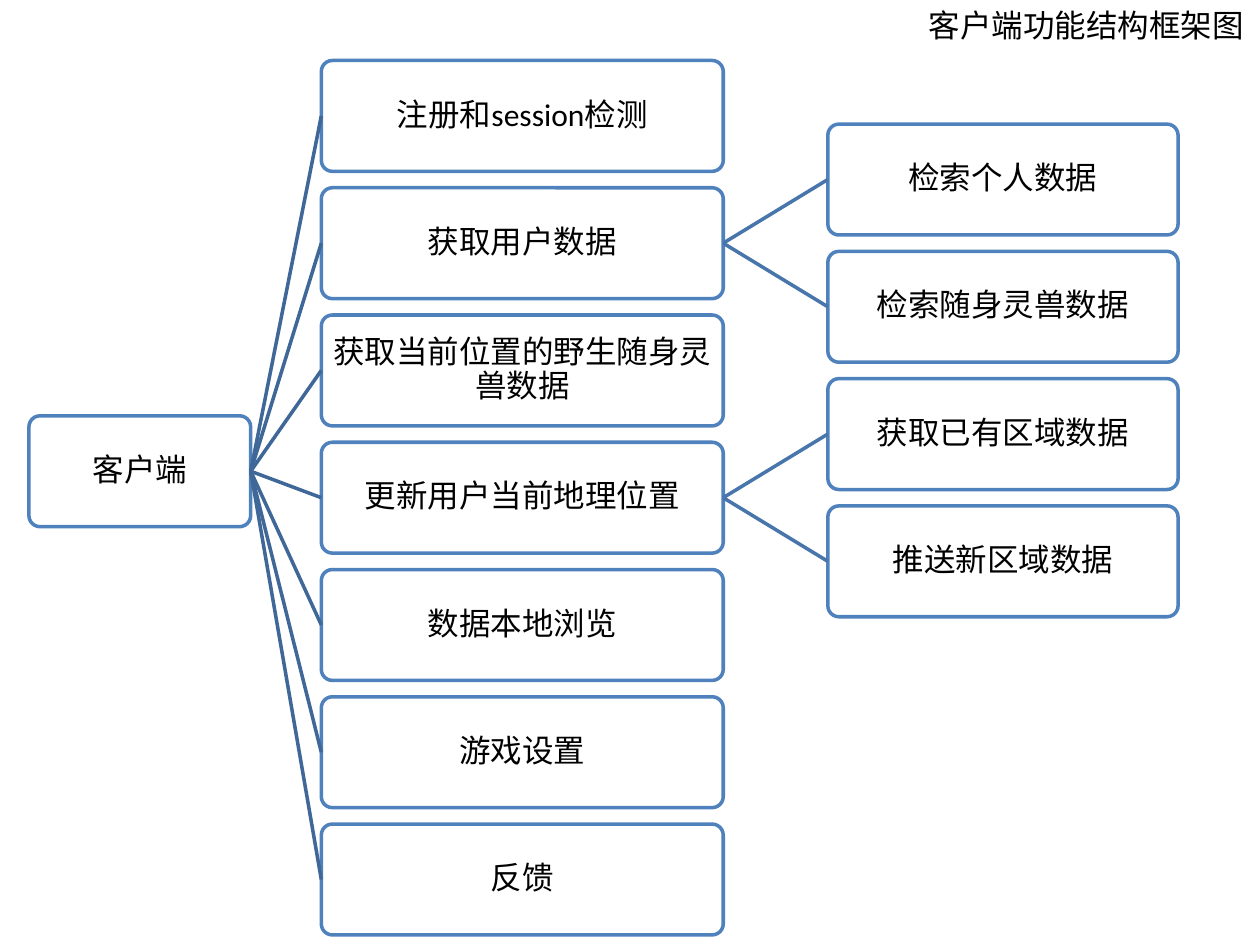
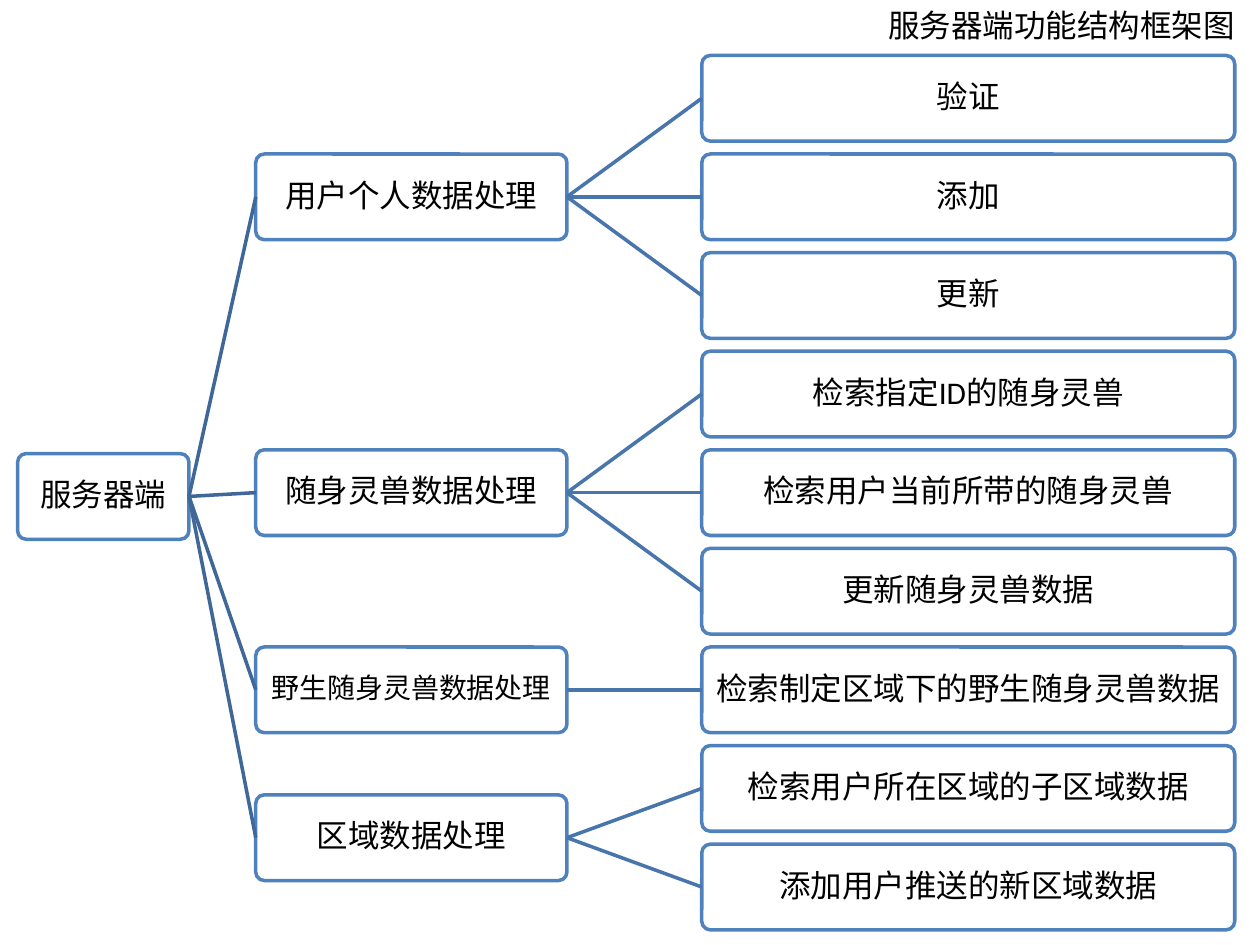
from lxml.etree import SubElement
from pptx import Presentation
from pptx.dml.color import RGBColor as Rgb
from pptx.enum.shapes import MSO_CONNECTOR as Link, MSO_SHAPE as Shape
from pptx.enum.text import MSO_ANCHOR as Anchor, MSO_AUTO_SIZE as Fit, PP_ALIGN as Align
from pptx.oxml.ns import qn
from pptx.util import Inches, Pt

COLORS = {"paper": "FFFFFF", "ink": "000000", "edge": "4F81BD",
          "trunk": "3F6797", "twig": "4875AC"}
LEFT, RIGHT = 1, 3
PAD = Inches(0.01)

TITLE = {
    "frame": {"word_wrap": False, "auto_size": Fit.SHAPE_TO_FIT_TEXT,
              "vertical_anchor": Anchor.TOP,
              "margin_left": Inches(0.1), "margin_right": Inches(0.1),
              "margin_top": Inches(0.05), "margin_bottom": Inches(0.05)},
    "para": {"alignment": Align.LEFT},
}
NODE = {
    "frame": {"word_wrap": True, "auto_size": Fit.NONE,
              "vertical_anchor": Anchor.MIDDLE,
              "margin_left": PAD, "margin_right": PAD,
              "margin_top": PAD, "margin_bottom": PAD},
    "para": {"alignment": Align.CENTER, "line_spacing": 0.9},
}

CLIENT = {
    "title": "客户端功能结构框架图", "title_box": (7.27, 0, 2.73, 0.4),
    "box": (0.23, 0.48, 9.12, 6.94), "high": 0.88, "rows": 7,
    "cols": [(0, 1.76), (2.32, 3.19), (6.34, 2.78)],
    "root": ("客户端", 2.82),
    "nodes": [
        (0, "注册和session检测", 18, []),
        (1, "获取用户数据", 18, ["检索个人数据", "检索随身灵兽数据"]),
        (2, "获取当前位置的野生随身灵兽数据", 18, []),
        (3, "更新用户当前地理位置", 18, ["获取已有区域数据", "推送新区域数据"]),
        (4, "数据本地浏览", 18, []),
        (5, "游戏设置", 18, []),
        (6, "反馈", 18, []),
    ],
}
SERVER = {
    "title": "服务器端功能结构框架图", "title_box": (6.95, 0, 3.05, 0.4),
    "box": (0.14, 0.44, 9.66, 6.94), "high": 0.68, "rows": 9,
    "cols": [(0, 1.36), (1.89, 2.47), (5.43, 4.23)],
    "root": ("服务器端", 3.16),
    "nodes": [
        (1, "用户个人数据处理", 18, ["验证", "添加", "更新"]),
        (4, "随身灵兽数据处理", 18,
         ["检索指定ID的随身灵兽", "检索用户当前所带的随身灵兽", "更新随身灵兽数据"]),
        (6, "野生随身灵兽数据处理", 16, ["检索制定区域下的野生随身灵兽数据"]),
        (7.5, "区域数据处理", 18, ["检索用户所在区域的子区域数据", "添加用户推送的新区域数据"]),
    ],
}


def color(name):
    return Rgb.from_string(COLORS[name])


def apply(item, values):
    for name, value in values.items():
        setattr(item, name, value)


def write(shape, text, style, size=18):
    frame = shape.text_frame
    frame.text = text
    para = frame.paragraphs[0]
    font = para.runs[0].font
    apply(frame, style["frame"])
    apply(para, style["para"])
    apply(font, {"name": "Calibri", "size": Pt(size), "bold": False})
    font.color.rgb = color("ink")


def add_title(slide, text, box):
    title = slide.shapes.title
    apply(title, dict(zip(("left", "top", "width", "height"), map(Inches, box))))
    write(title, text, TITLE)


def add_node(slide, box, text, size=18):
    node = slide.shapes.add_shape(Shape.ROUNDED_RECTANGLE, *map(Inches, box))
    node.adjustments[0] = 0.1
    node.shadow.inherit = False
    node.fill.solid()
    node.fill.fore_color.rgb = color("paper")
    node.line.color.rgb = color("edge")
    node.line.width = Pt(2)
    write(node, text, NODE, size)
    return node


def add_link(slide, start, end, tone):
    link = slide.shapes.add_connector(Link.STRAIGHT, 0, 0, 0, 0)
    link.begin_connect(start, RIGHT)
    link.end_connect(end, LEFT)
    link.line.color.rgb = color(tone)
    link.line.width = Pt(2)
    SubElement(link.element.spPr, qn("a:effectLst"))


def add_tree(slide, box, plan):
    left, top, _, depth = box
    high = plan["high"]
    step = (depth - high) / (plan["rows"] - 1)

    def place(col, drop, text, size=18):
        shift, width = plan["cols"][col]
        return add_node(slide, (left + shift, top + drop, width, high), text, size)

    name, drop = plan["root"]
    root = place(0, drop, name)
    for row, text, size, leaves in plan["nodes"]:
        node = place(1, row * step, text, size)
        add_link(slide, root, node, "trunk")
        first = row - (len(leaves) - 1) / 2
        for i, label in enumerate(leaves):
            leaf = place(2, (first + i) * step, label)
            add_link(slide, node, leaf, "twig")


def add_chart_slide(deck, plan):
    slide = deck.slides.add_slide(deck.slide_layouts[5])
    add_title(slide, plan["title"], plan["title_box"])
    add_tree(slide, plan["box"], plan)


deck = Presentation()
deck.slide_width, deck.slide_height = Inches(10), Inches(7.5)
for plan in (CLIENT, SERVER):
    add_chart_slide(deck, plan)
deck.save("out.pptx")
